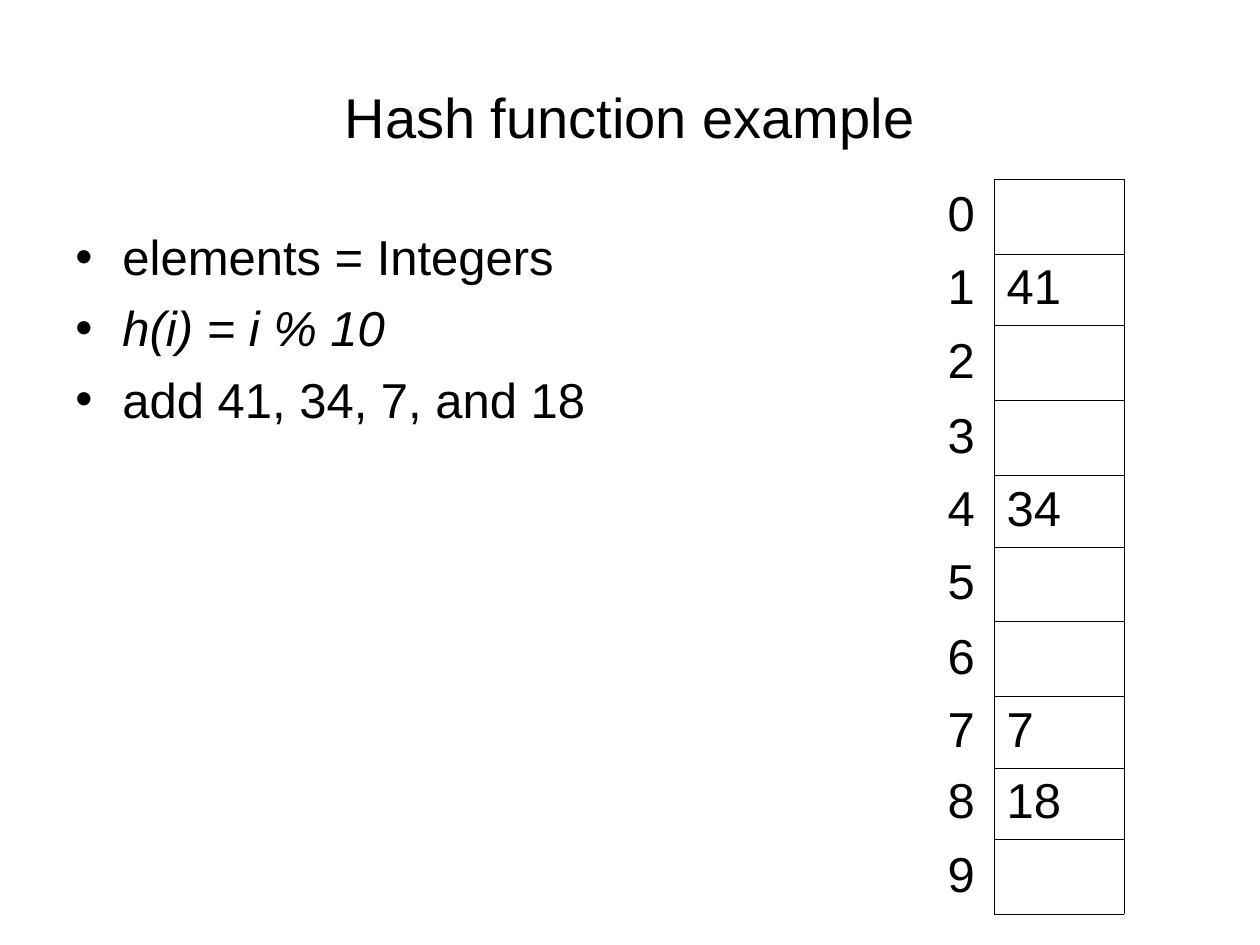
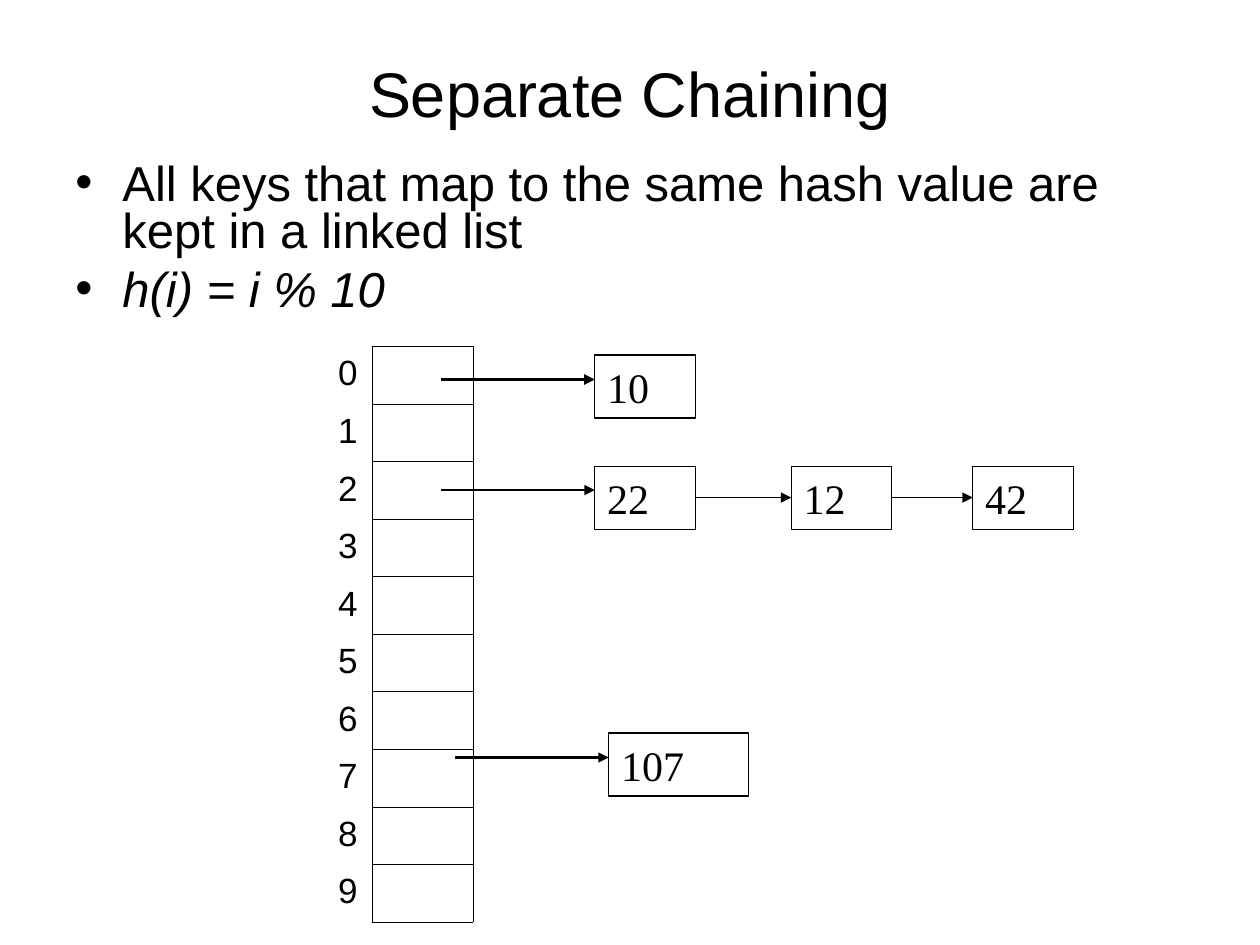
from lxml import etree
from pptx import Presentation
from pptx.dml.color import RGBColor
from pptx.enum.shapes import MSO_CONNECTOR, MSO_SHAPE
from pptx.enum.text import MSO_ANCHOR, PP_ALIGN
from pptx.oxml.ns import qn
from pptx.util import Cm, Pt

STRAIGHT = MSO_CONNECTOR.STRAIGHT
RECTANGLE = MSO_SHAPE.RECTANGLE
MIDDLE = MSO_ANCHOR.MIDDLE
TOP = MSO_ANCHOR.TOP
CENTER = PP_ALIGN.CENTER
LEFT = PP_ALIGN.LEFT

BLACK = RGBColor(0, 0, 0)
SANS = "Arial"
SERIF = "Times New Roman"
PLAIN_TABLE_STYLE = "{2D5ABB26-0587-4C30-8999-92F81FD0307C}"
BUCKET_COUNT = 10

# Bucket borders in EMU: thin inside, twice as wide outside
INNER = 1400
OUTER = 2900


def write(para, text, size, font=SANS, align=LEFT, before=0, spacing=1.0):
    para.text = text
    para.alignment = align
    para.space_before = Pt(before)
    para.line_spacing = spacing
    para.font.size = Pt(size)
    para.font.name = font
    para.font.color.rgb = BLACK


def draw_border(cell, side, width):
    line = etree.SubElement(cell._tc.get_or_add_tcPr(), qn("a:ln" + side), w=str(width))
    if width:
        fill = etree.SubElement(line, qn("a:solidFill"))
        etree.SubElement(fill, qn("a:srgbClr"), val=str(BLACK))
    else:
        etree.SubElement(line, qn("a:noFill"))


deck = Presentation()
deck.slide_width = Cm(25.4)
deck.slide_height = Cm(19.05)

# Per page: title, bullets (text, italic) and bucket table
pages = [
    dict(
        title="Hash function example", title_height=3.18, title_size=32,
        bullets=[("elements = Integers", False), ("h(i) = i % 10", True),
                 ("add 41, 34, 7, and 18", False)],
        bullet_box=(4.45, 13.13, 5.72), bullet_spacing=1.0,
        table_at=(18.85, 3.61), columns=(1.19, 2.62),
        empty_row=1.51, filled_row=1.44, table_size=28, table_before=7,
        stored={1: "41", 4: "34", 7: "7", 8: "18"},
    ),
    dict(
        title="Separate Chaining", title_height=2.21, title_size=36,
        bullets=[("All keys that map to the same hash value are kept in a linked list", False),
                 ("h(i) = i % 10", True)],
        bullet_box=(3.18, 22.86, 3.38), bullet_spacing=0.8,
        table_at=(6.56, 6.98), columns=(0.95, 2.03),
        empty_row=1.16, filled_row=1.16, table_size=20, table_before=5,
        stored={},
    ),
]

for content in pages:
    page = deck.slides.add_slide(deck.slide_layouts[6])

    # Title
    box = page.shapes.add_textbox(Cm(1.27), Cm(0.76), Cm(22.86), Cm(content["title_height"]))
    box.text_frame.word_wrap = True
    box.text_frame.vertical_anchor = MIDDLE
    write(box.text_frame.paragraphs[0], content["title"], content["title_size"], align=CENTER)

    # Bullets
    top, width, height = content["bullet_box"]
    box = page.shapes.add_textbox(Cm(1.27), Cm(top), Cm(width), Cm(height))
    frame = box.text_frame
    frame.word_wrap = True
    for index, (text, italic) in enumerate(content["bullets"]):
        para = frame.paragraphs[0] if index == 0 else frame.add_paragraph()
        properties = para._p.get_or_add_pPr()
        properties.set("marL", str(Cm(0.95)))
        properties.set("indent", str(-Cm(0.95)))
        etree.SubElement(properties, qn("a:buFont"), typeface=SANS)
        etree.SubElement(properties, qn("a:buChar"), char="•")
        write(para, text, 28, before=7, spacing=content["bullet_spacing"])
        para.font.italic = italic

    # Buckets: index on the left, stored value on the right
    stored = content["stored"]
    heights = [Cm(content["filled_row"] if row in stored else content["empty_row"])
               for row in range(BUCKET_COUNT)]
    widths = [Cm(width) for width in content["columns"]]
    left, top = content["table_at"]
    table = page.shapes.add_table(BUCKET_COUNT, 2, Cm(left), Cm(top),
                                  sum(widths), sum(heights)).table
    table.first_row = False
    table.horz_banding = False
    table._tbl.tblPr[0].text = PLAIN_TABLE_STYLE
    for column, width in zip(table.columns, widths):
        column.width = width
    for row, height in enumerate(heights):
        table.rows[row].height = height
        top_width = OUTER if row == 0 else INNER
        bottom_width = OUTER if row == BUCKET_COUNT - 1 else INNER
        borders = [(0, INNER, 0, 0), (INNER, OUTER, top_width, bottom_width)]
        for column, text in enumerate([str(row), stored.get(row, "")]):
            cell = table.cell(row, column)
            cell.vertical_anchor = MIDDLE
            for side, width in zip("LRTB", borders[column]):
                draw_border(cell, side, width)
            cell.fill.background()
            if text:
                write(cell.text_frame.paragraphs[0], text, content["table_size"],
                      before=content["table_before"], spacing=0.93)

# List nodes on the chaining page: key, left, top, width
nodes = [
    ("10", 11.99, 7.16, 2.03),
    ("107", 12.27, 14.78, 2.82),
    ("22", 11.99, 9.4, 2.03),
    ("12", 15.95, 9.4, 2.03),
    ("42", 19.61, 9.4, 2.03),
]
for key, left, top, width in nodes:
    node = page.shapes.add_shape(RECTANGLE, Cm(left), Cm(top), Cm(width), Cm(1.27))
    node.shadow.inherit = False
    node.fill.background()
    node.line.color.rgb = BLACK
    node.line.width = Pt(0.75)
    node.text_frame.vertical_anchor = TOP
    write(node.text_frame.paragraphs[0], key, 24, font=SERIF)

# Links: start, end, height on the page, line width
links = [
    (14.02, 15.95, 10.03, 0.75),
    (17.98, 19.61, 10.03, 0.75),
    (8.89, 11.99, 9.88, 1.5),
    (8.89, 11.99, 7.65, 2),
    (9.17, 12.27, 15.27, 1.5),
]
for start, end, level, weight in links:
    link = page.shapes.add_connector(STRAIGHT, Cm(start), Cm(level), Cm(end), Cm(level))
    link.line.color.rgb = BLACK
    link.line.width = Pt(weight)
    etree.SubElement(link.line._get_or_add_ln(), qn("a:tailEnd"), type="triangle")
    etree.SubElement(link._element.spPr, qn("a:effectLst"))

deck.save("out.pptx")
